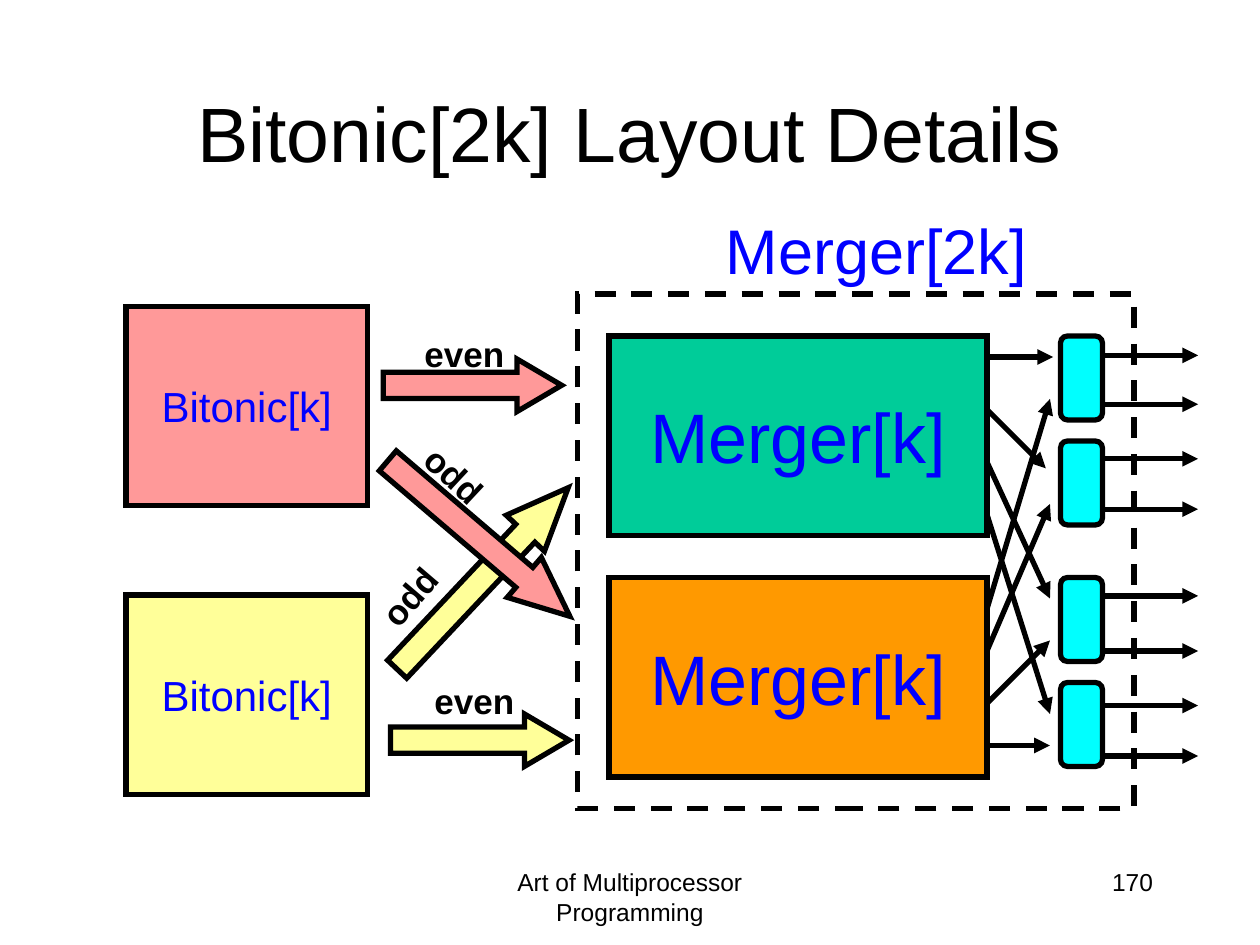
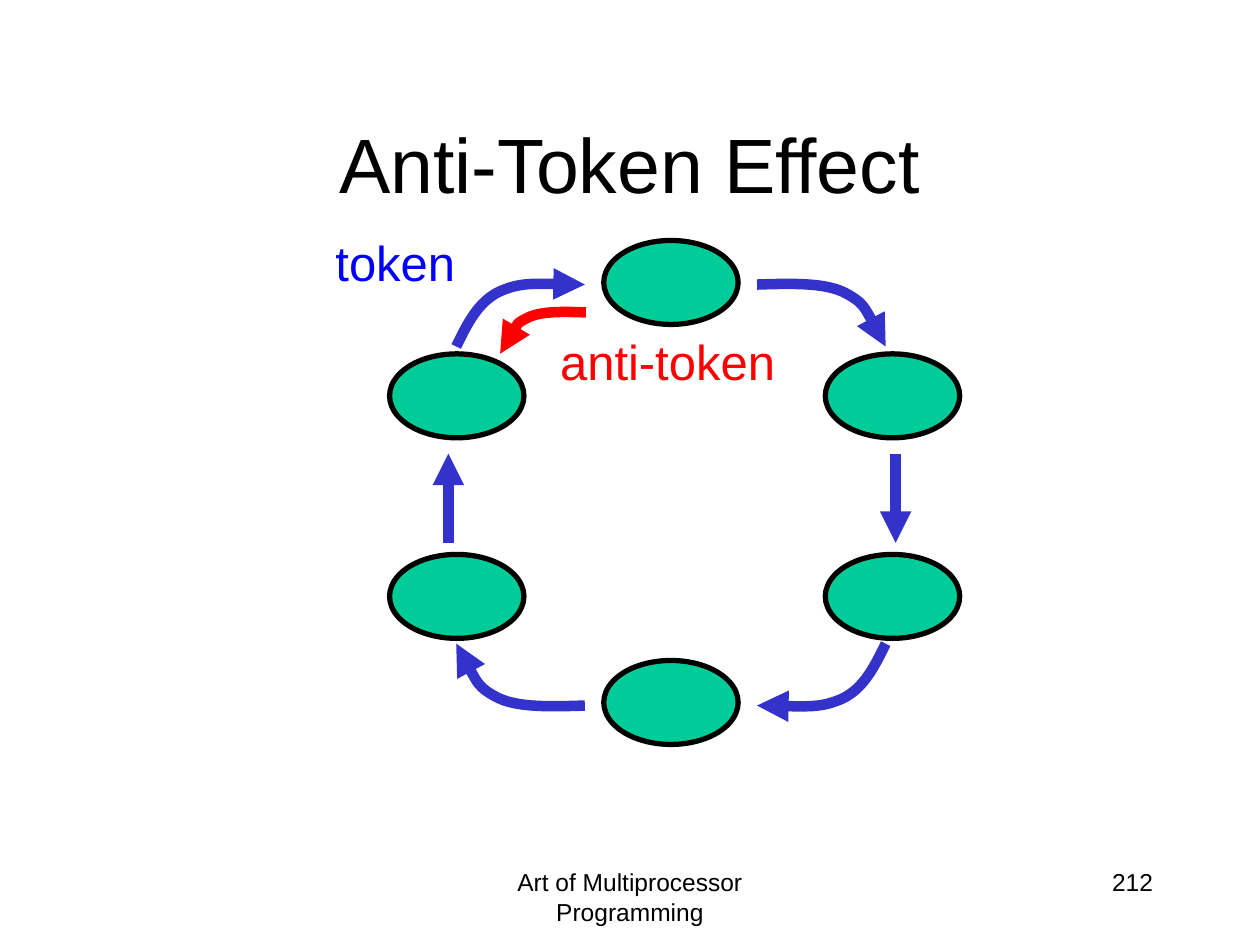
from lxml import etree
from pptx import Presentation
from pptx import util as u
from pptx.dml.color import RGBColor
from pptx.enum import dml, shapes, text
from pptx.oxml.ns import qn

HUES = {
    "ink": "000000", "blue": "0000FF", "red": "FF0000", "flow": "3333CC",
    "green": "00CC99", "orange": "FF9900", "cyan": "00FFFF",
    "pink": "FF9999", "yellow": "FFFF99",
}
FONT = "Arial"
FORM = shapes.MSO_SHAPE
SIDE = text.PP_ALIGN
WIDE, HIGH = u.Inches(10), u.Inches(7.5)
COLS = 120
CELL = WIDE / COLS

deck = Presentation()
deck.slide_width, deck.slide_height = WIDE, HIGH


def put(page, form, area, fill=None, words="", size=20, hue="ink",
        side=SIDE.CENTER, bold=False, wrap=False, turn=0, mid=True):
    area = [round(v * CELL) for v in area]
    if form is None:
        item = page.shapes.add_textbox(*area)
    else:
        item = page.shapes.add_shape(form, *area)
        item.line.color.rgb = RGBColor.from_string(HUES["ink"])
        item.line.width = u.Pt(3)
        item.shadow.inherit = False
        if fill:
            item.fill.solid()
            item.fill.fore_color.rgb = RGBColor.from_string(HUES[fill])
        else:
            item.fill.background()
    item.rotation = turn
    if words:
        frame = item.text_frame
        frame.text = words
        frame.word_wrap = wrap
        frame.vertical_anchor = text.MSO_ANCHOR.MIDDLE if mid else text.MSO_ANCHOR.TOP
        para = frame.paragraphs[0]
        para.alignment = side
        font = para.runs[0].font
        font.name, font.size, font.bold = FONT, u.Pt(size), bold
        font.color.rgb = RGBColor.from_string(HUES[hue])
    return item


def link(page, dots, hue="ink", width=3):
    dots = [(round(x * CELL), round(y * CELL)) for x, y in dots]
    if len(dots) == 2:
        item = page.shapes.add_connector(shapes.MSO_CONNECTOR.STRAIGHT, *dots[0], *dots[1])
    else:
        pen = page.shapes.build_freeform(*dots[0], scale=1.0)
        pen.add_line_segments(dots[1:], close=False)
        item = pen.convert_to_shape()
        item.fill.background()
        legs = list(item._element.iter(qn("a:lnTo")))
        for i in range(0, len(legs), 3):
            bend = etree.SubElement(legs[i].getparent(), qn("a:cubicBezTo"))
            for leg in legs[i:i + 3]:
                bend.append(leg[0])
                leg.getparent().remove(leg)
    item.line.color.rgb = RGBColor.from_string(HUES[hue])
    item.line.width = u.Pt(width)
    props = item._element.spPr
    etree.SubElement(props.find(qn("a:ln")), qn("a:tailEnd"), type="triangle")
    etree.SubElement(props, qn("a:effectLst"))


pages = []
for name, num, top in [("Bitonic[2k] Layout Details", "170", 5),
                       ("Anti-Token Effect", "212", 8)]:
    page = deck.slides.add_slide(deck.slide_layouts[6])
    put(page, None, (41, 82, 38, 6), words="Art of Multiprocessor Programming",
        size=14, wrap=True, mid=False)
    put(page, None, (86, 82, 25, 6), words=num, size=14, side=SIDE.RIGHT,
        wrap=True, mid=False)
    put(page, None, (9, top, 102, 15), words=name, size=44, wrap=True)
    pages.append(page)
plan, ring = pages

for top, fill in [(32, "green"), (55, "orange")]:
    put(plan, FORM.RECTANGLE, (58, top, 36, 19), fill, "Merger[k]", 40, "blue")

for top in (32, 42, 55, 65):
    gate = put(plan, FORM.ROUNDED_RECTANGLE, (101, top, 4, 8), "cyan")
    gate.adjustments[0] = 0.17

for start, end, stop in [(34, 34, 100.3), (39, 44.6, 99.6), (58, 38, 100),
                         (62, 48, 100), (67, 61, 100), (71, 71, 100),
                         (44, 57, 100), (49, 68, 100)]:
    link(plan, [(94, start), (stop, end)])

hull = put(plan, FORM.RECTANGLE, (55, 28, 53, 49))
hull.line.dash_style = dml.MSO_LINE.DASH

for top, fill in [(56.67, "yellow"), (29.17, "pink")]:
    put(plan, FORM.RECTANGLE, (12, top, 23, 19), fill, "Bitonic[k]", 24, "blue")

for left, top, wide, turn, tip, fill in [
        (36.5, 34.2, 17, 0, 0.85, "pink"),
        (37.2, 68, 17, 0, 0.85, "yellow"),
        (34.1, 52.6, 23.75, 313.3, 1.19, "yellow"),
        (34.2, 48.8, 22.8, 40.5, 1.14, "pink")]:
    arrow = put(plan, FORM.RIGHT_ARROW, (left, top, wide, 5), fill, turn=turn)
    arrow.adjustments[0], arrow.adjustments[1] = 0.5, tip

for item in plan.shapes:
    if item.shape_type == shapes.MSO_SHAPE_TYPE.AUTO_SHAPE:
        etree.SubElement(item._element.spPr.find(qn("a:ln")), qn("a:miter"), lim="800000")

for words, left, top, wide, turn in [
        ("even", 39.25, 31.1, 10.1, 0), ("odd", 34.7, 54.1, 8.65, 310.5),
        ("odd", 39, 42.7, 8.65, 43), ("even", 40.2, 64.1, 10.1, 0)]:
    put(plan, None, (left, top, wide, 5.25), words=words, bold=True,
        side=SIDE.LEFT, turn=turn, mid=False)
put(plan, None, (67.8, 19.55, 31.3, 8.5), words="Merger[2k]", size=36,
    hue="blue", mid=False)

for row in (33.85, 38.5, 43.7, 48.5, 56.75, 62, 67.2, 72):
    link(plan, [(105.1, row), (114.1, row)])

for left, top in [(37.1, 33.7), (78.6, 33.7), (37.1, 52.8), (78.6, 52.8),
                  (57.5, 62.9), (57.5, 22.9)]:
    put(ring, FORM.OVAL, (left, top, 12.8, 8), "green")

link(ring, [(85.3, 43.2), (85.3, 51.7)], "flow", 6)
link(ring, [(42.7, 51.7), (42.7, 43.2)], "flow", 6)

bend = [(72.1, 27.1), (75.25, 27), (78.35, 26.9), (80.3, 27.8),
        (82.3, 28.8), (83.3, 30.85), (84.35, 33)]
SPAN, DROP = 127.8, 94.3
link(ring, bend, "flow", 6)
link(ring, [(x, DROP - y) for x, y in bend[::-1]], "flow", 6)
link(ring, [(SPAN - x, DROP - y) for x, y in bend], "flow", 6)
link(ring, [(SPAN - x, y) for x, y in bend[::-1]], "flow", 6)

x0, y0 = bend[0]
link(ring, [(55.8 - (x - x0) * 2 / 3, 29.75 + (y - y0) * 2 / 3) for x, y in bend], "red", 6)

for words, left, top, wide, hue in [("token", 30.7, 21.6, 13.9, "blue"),
                                    ("anti-token", 52, 30.95, 23.15, "red")]:
    put(ring, None, (left, top, wide, 6.85), words=words, size=28, hue=hue, mid=False)

deck.save("out.pptx")
